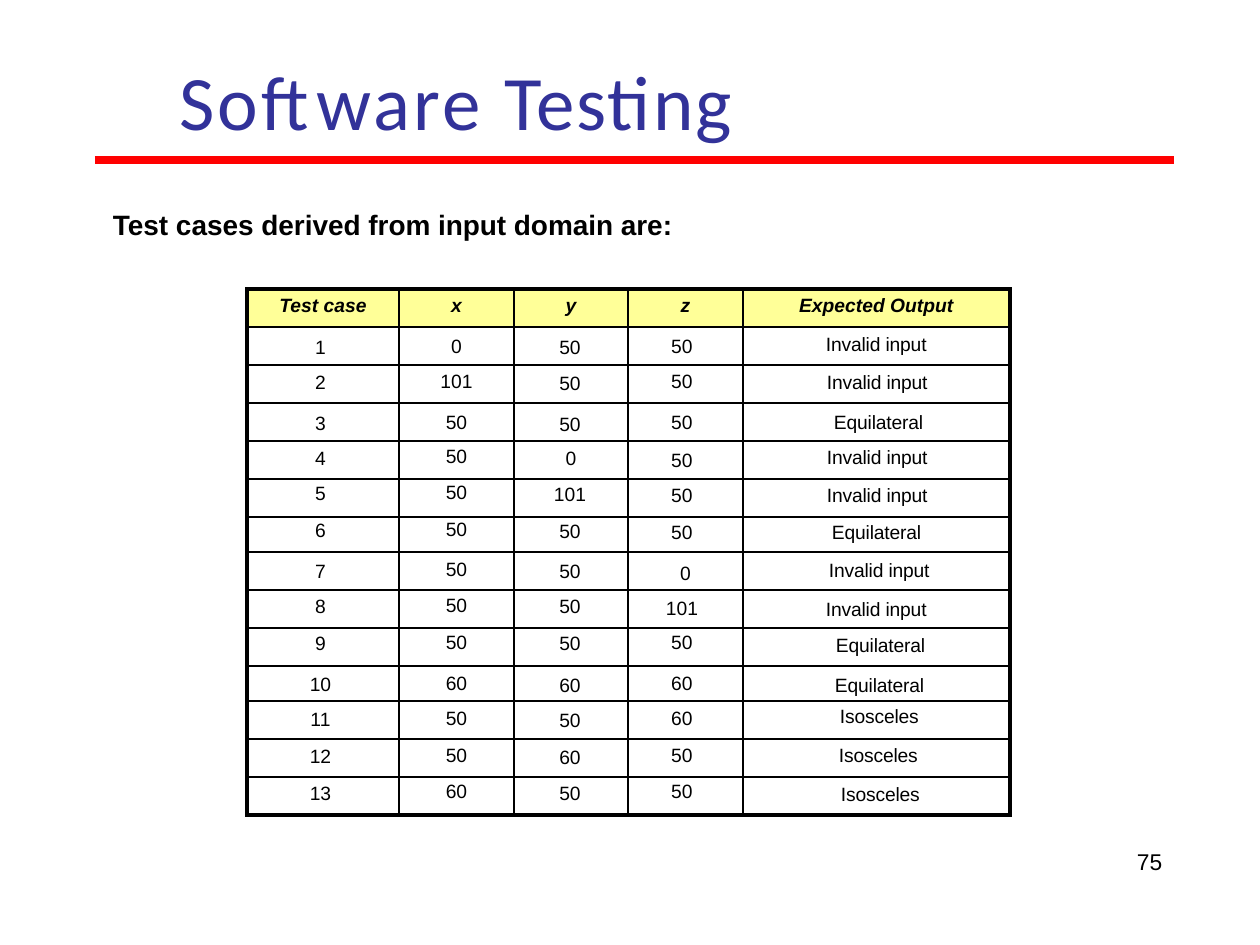
import pptx
import pptx.util
import pptx.dml.color
import pptx.enum.text
import pptx.enum.shapes
import pptx.oxml.ns
import lxml.etree

PX = 914400 / 126
ALIGN = pptx.enum.text.PP_ALIGN
ANCHOR = pptx.enum.text.MSO_ANCHOR
COLUMNS = [152, 115, 114, 115, 267]
RIGHT_INSETS = [5, 0, 2, 7]
HEADER = ["Test case", "x", "y", "z", "Expected Output"]
CASES = [
    (0, 50, 50, "Invalid input", [10, 9, 10, 9, 7], 83),
    (101, 50, 50, "Invalid input", [7, 6, 8, 6, 7], 84),
    (50, 50, 50, "Equilateral", [10, 9, 11, 9, 9], 91),
    (50, 0, 50, "Invalid input", [7, 5, 7, 9, 6], 84),
    (50, 101, 50, "Invalid input", [4, 3, 5, 6, 6], 84),
    (50, 50, 50, "Equilateral", [3, 2, 4, 5, 5], 89),
    (50, 50, 0, "Invalid input", [9, 7, 9, 11, 8], 86),
    (50, 50, 101, "Invalid input", [6, 5, 6, 8, 9], 83),
    (50, 50, 50, "Equilateral", [5, 4, 5, 4, 7], 93),
    (60, 60, 60, "Equilateral", [8, 7, 9, 7, 9], 92),
    (50, 50, 60, "Isosceles", [8, 7, 9, 7, 5], 97),
    (50, 60, 50, "Isosceles", [7, 6, 8, 6, 6], 96),
    (60, 50, 50, "Isosceles", [6, 4, 6, 4, 7], 98),
]


def px(n):
    return pptx.util.Emu(round(n * PX))


def rgb(value):
    return pptx.dml.color.RGBColor.from_string(value)


def write(p, text, size=11, font="Arial", color="000000", bold=False,
          italic=False, spacing=0, align=ALIGN.LEFT):
    p.alignment = align
    r = p.add_run()
    r.text = text
    r.font.size = pptx.util.Pt(size)
    r.font.name = font
    r.font.color.rgb = rgb(color)
    r.font.bold = bold
    r.font.italic = italic
    if spacing:
        r._r.get_or_add_rPr().set("spc", str(round(spacing * 100)))


def border(cell, side, width):
    tag = pptx.oxml.ns.qn
    ln = lxml.etree.SubElement(cell._tc.get_or_add_tcPr(), tag("a:ln" + side),
                               w=str(pptx.util.Pt(width)))
    fill = lxml.etree.SubElement(ln, tag("a:solidFill"))
    lxml.etree.SubElement(fill, tag("a:srgbClr"), val="000000")


class Deck:
    def __init__(self, slide):
        self.s = slide
        self.thin, self.thick = 1, 2.25
        self.header_fill = "FFFF98"
        self.rule_color = "FF0000"

    def text_box(self, left, top, width, height, inset_left=0, inset_top=0,
                 anchor=ANCHOR.TOP):
        tf = self.s.shapes.add_textbox(px(left), px(top), px(width), px(height)).text_frame
        tf.word_wrap = True
        tf.vertical_anchor = anchor
        tf.margin_left, tf.margin_top = px(inset_left), px(inset_top)
        tf.margin_right = tf.margin_bottom = 0
        return tf.paragraphs[0]

    def rule(self, x1, x2, y, width):
        sp = self.s.shapes.add_connector(pptx.enum.shapes.MSO_CONNECTOR.STRAIGHT,
                                         px(x1), px(y), px(x2), px(y))
        sp.line.color.rgb = rgb(self.rule_color)
        sp.line.width = pptx.util.Pt(width)
        lxml.etree.SubElement(sp._element.spPr, pptx.oxml.ns.qn("a:effectLst"))

    def table(self, left, top, columns, heights):
        table = self.s.shapes.add_table(len(heights), len(columns), px(left), px(top),
                                        px(sum(columns)), px(sum(heights))).table
        table.first_row = table.horz_banding = False
        for column, width in zip(table.columns, columns):
            column.width = px(width)
        for row, height in zip(table.rows, heights):
            row.height = px(height)
        last_row, last_col = len(heights) - 1, len(columns) - 1
        for i in range(len(heights)):
            for j in range(len(columns)):
                edges = {"L": j == 0, "R": j == last_col, "T": i == 0, "B": i == last_row}
                for side, outer in edges.items():
                    border(table.cell(i, j), side, self.thick if outer else self.thin)
        return table

    def cell(self, cell, text, top, left=0, right=0, header=False, **style):
        cell.margin_left, cell.margin_right = px(left), px(right)
        cell.margin_top, cell.margin_bottom = px(top), 0
        if header:
            cell.fill.solid()
            cell.fill.fore_color.rgb = rgb(self.header_fill)
        else:
            cell.fill.background()
        write(cell.text_frame.paragraphs[0], text, bold=header, italic=header, **style)


def main():
    prs = pptx.Presentation()
    prs.slide_width, prs.slide_height = px(1260), px(945)
    deck = Deck(prs.slides.add_slide(prs.slide_layouts[6]))

    title = deck.text_box(88, 52, 736, 94, inset_top=1, anchor=ANCHOR.MIDDLE)
    for text, spacing in [("Software ", 1.7), ("Testing", 0.9)]:
        write(title, text, size=44, font="Calibri", color="323299",
              spacing=spacing, align=ALIGN.CENTER)
    deck.rule(95, 1174, 160, 4.5)

    heights = [35 if i in (6, 10) else 38 for i in range(len(CASES) + 1)]
    table = deck.table(247, 289, COLUMNS, heights)
    for j, text in enumerate(HEADER):
        deck.cell(table.cell(0, j), text, 6, header=True, align=ALIGN.CENTER)
    for i, (x, y, z, output, tops, indent) in enumerate(CASES, 1):
        for j, value in enumerate((i, x, y, z)):
            deck.cell(table.cell(i, j), str(value), tops[j],
                      right=RIGHT_INSETS[j] if value else 0, align=ALIGN.CENTER)
        deck.cell(table.cell(i, 4), output, tops[4], left=indent, spacing=-0.1)

    heading = deck.text_box(112, 207, 580, 35, inset_left=1, inset_top=1)
    write(heading, "Test cases derived from input domain are:", size=16, bold=True)
    number = deck.text_box(1134, 852, 32, 23, inset_left=3)
    number.line_spacing = pptx.util.Pt(13.2)
    write(number, "75", size=13)

    prs.save("out.pptx")


if __name__ == "__main__":
    main()
